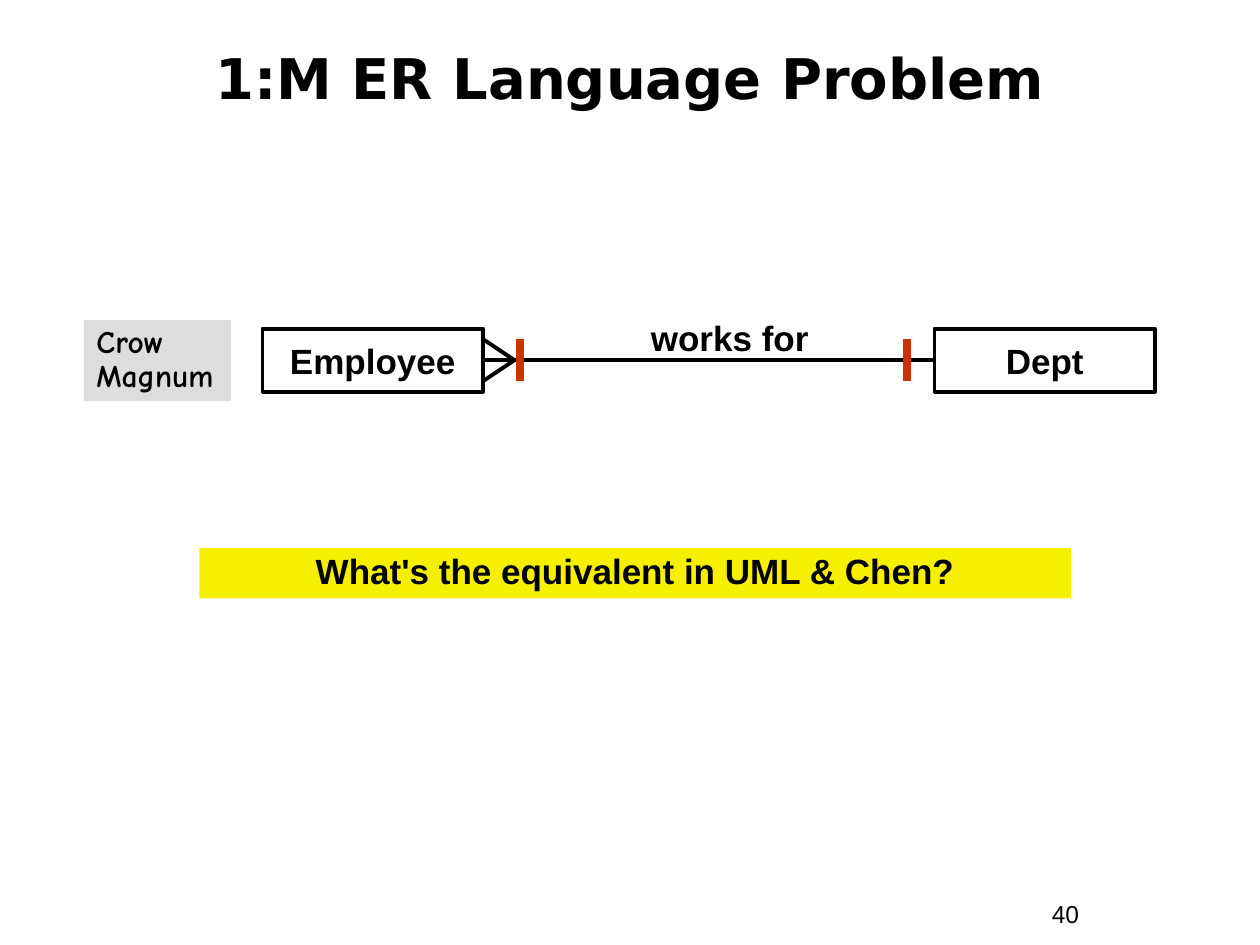
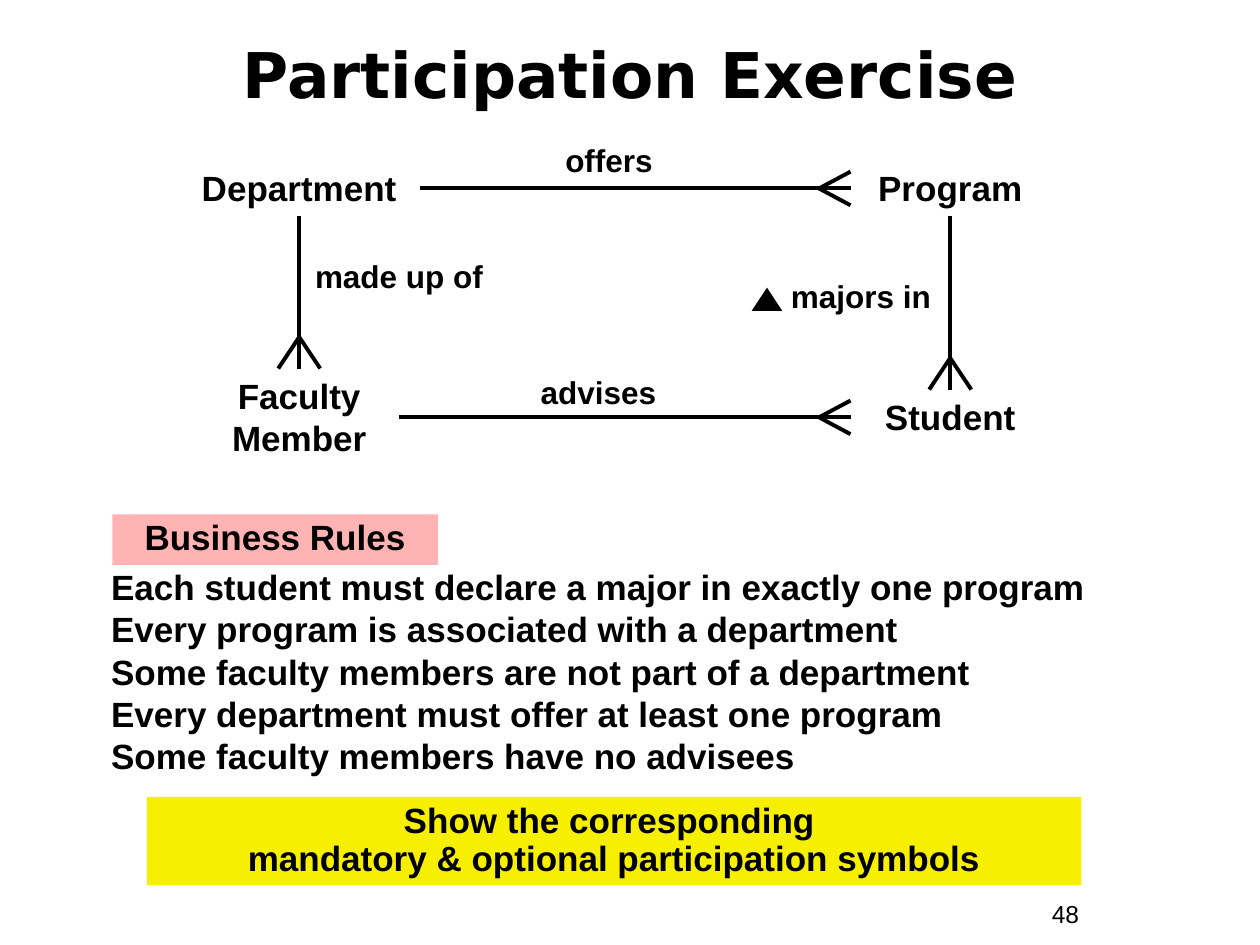
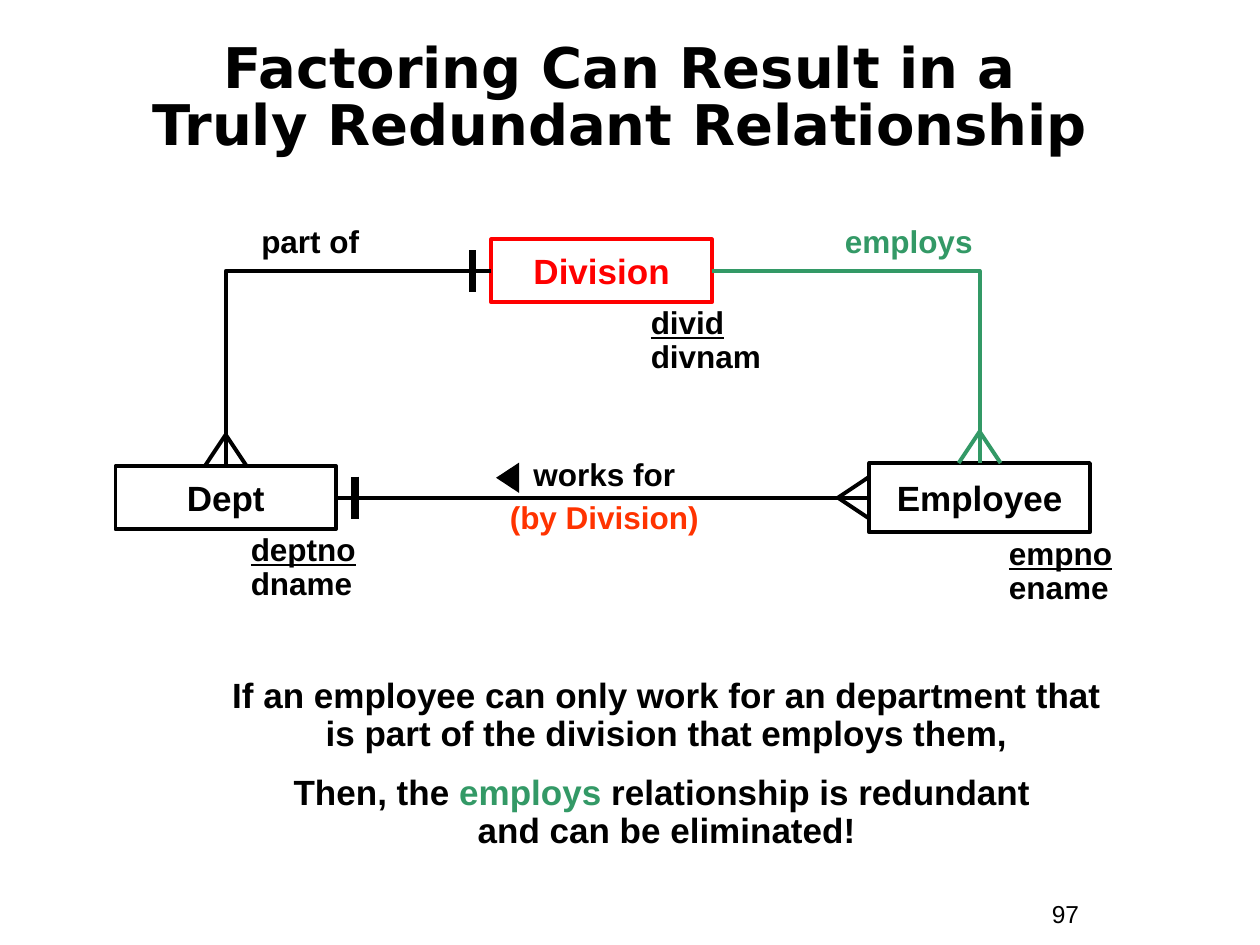
from typing import NamedTuple

from lxml import etree
from pptx import Presentation
from pptx.dml.color import RGBColor
from pptx.enum import shapes, text
from pptx.oxml.ns import qn
from pptx.util import Emu, Inches, Pt

BLACK = RGBColor(0x00, 0x00, 0x00)
GREY = RGBColor(0xDD, 0xDD, 0xDD)
YELLOW = RGBColor(0xF6, 0xF0, 0x00)
PINK = RGBColor(0xFF, 0xB3, 0xB3)
RED = RGBColor(0xFF, 0x00, 0x00)
ORANGE = RGBColor(0xFF, 0x33, 0x00)
RUST = RGBColor(0xCC, 0x33, 0x00)
GREEN = RGBColor(0x33, 0x99, 0x66)

BODY_FONT, TITLE_FONT, NOTE_FONT = "Arial", "DejaVu Sans", "Comic Neue"
LEFT, CENTER = text.PP_ALIGN.LEFT, text.PP_ALIGN.CENTER
TOP, MIDDLE = text.MSO_ANCHOR.TOP, text.MSO_ANCHOR.MIDDLE
UNIT = Inches(10) // 120
AT_TOP, AT_LEFT, AT_BOTTOM, AT_RIGHT = range(4)
OUTWARD = {AT_TOP: (0, -1), AT_LEFT: (-1, 0), AT_BOTTOM: (0, 1), AT_RIGHT: (1, 0)}


class Box(NamedTuple):
    """A box on a grid of 120 columns by 90 rows."""
    x: float
    y: float
    w: float
    h: float

    def inner(self, x, y, w, h):
        """Return a box placed relative to this one."""
        return Box(self.x + x, self.y + y, w, h)

    def emu(self):
        """Return left, top, width and height as lengths."""
        return [Emu(round(v * UNIT)) for v in self]


def write(tf, paras, size=20, color=BLACK, font=BODY_FONT, bold=True,
          align=CENTER, spacing=1.0, before=0, anchor=TOP):
    """Fill a text frame; a paragraph is a string or a list of (text, format) runs."""
    tf.word_wrap = True
    tf.auto_size = text.MSO_AUTO_SIZE.NONE
    tf.vertical_anchor = anchor
    for i, para in enumerate(paras):
        p = tf.add_paragraph() if i else tf.paragraphs[0]
        p.alignment, p.line_spacing = align, spacing
        p.space_before = Pt(before if i else 0)
        for words, style in [(para, {})] if isinstance(para, str) else para:
            for n, piece in enumerate(words.split("\n")):
                if n:
                    p.add_line_break()
                if piece:
                    r = p.add_run()
                    r.text = piece
                    r.font.name, r.font.size, r.font.bold = font, Pt(size), bold
                    r.font.underline = style.get("underline", False)
                    r.font.color.rgb = style.get("color", color)


def label(s, box, *paras, **style):
    """Add a plain text box."""
    sp = s.shapes.add_textbox(*box.emu())
    write(sp.text_frame, paras, **style)
    return sp


def panel(s, box, fill, *paras, **style):
    """Add a filled rectangle with text."""
    sp = s.shapes.add_shape(shapes.MSO_SHAPE.RECTANGLE, *box.emu())
    sp.shadow.inherit = False
    sp.fill.solid()
    sp.fill.fore_color.rgb = fill
    sp.line.fill.background()
    write(sp.text_frame, paras, **{"spacing": 0.9, **style})


def entity(s, box, name, color=BLACK):
    """Add an outlined entity rectangle."""
    sp = s.shapes.add_shape(shapes.MSO_SHAPE.RECTANGLE, *box.emu())
    sp.shadow.inherit = False
    sp.fill.background()
    sp.line.color.rgb, sp.line.width = color, Pt(2.25)
    write(sp.text_frame, [name], color=color, anchor=MIDDLE)
    return sp


def pointer(s, box, rotation=0):
    """Add a small triangle that shows the reading direction."""
    sp = s.shapes.add_shape(shapes.MSO_SHAPE.ISOSCELES_TRIANGLE, *box.emu())
    sp.shadow.inherit = False
    sp.fill.solid()
    sp.fill.fore_color.rgb = BLACK
    sp.line.fill.background()
    sp.rotation = rotation


def line(s, start, end, color=BLACK, width=2.25):
    """Add a straight line between two points."""
    c = s.shapes.add_connector(shapes.MSO_CONNECTOR.STRAIGHT, *map(Emu, (*start, *end)))
    c.line.color.rgb, c.line.width = color, Pt(width)
    etree.SubElement(c._element.spPr, qn("a:effectLst"))
    return c


def anchor_point(sp, side, out=0, along=0):
    """Return a point measured in grid units from the middle of a side."""
    dx, dy = OUTWARD[side]
    x = sp.left + sp.width * (1 + dx) / 2 + (dx * out + dy * along) * UNIT
    y = sp.top + sp.height * (1 + dy) / 2 + (dy * out + dx * along) * UNIT
    return round(x), round(y)


def link(s, a, a_side, b, b_side, color=BLACK, bent=False):
    """Join the sides of two shapes, with one corner when bent."""
    c = line(s, anchor_point(a, a_side), anchor_point(b, b_side), color)
    if bent:
        c._element.spPr.find(qn("a:prstGeom")).set("prst", "bentConnector2")
    c.begin_connect(a, a_side)
    c.end_connect(b, b_side)


def crow_foot(s, sp, side, color=BLACK, spread=2):
    """Draw the two outer toes of a crow's foot on a side."""
    for along in (-spread, spread):
        line(s, anchor_point(sp, side, 3), anchor_point(sp, side, 0, along), color)


def bar(s, sp, side, gap=1.8, color=BLACK):
    """Draw a thick cardinality bar across the link at a side."""
    line(s, anchor_point(sp, side, gap, -2), anchor_point(sp, side, gap, 2), color, 4.5)


def new_slide(prs, title, number, box, size=32, spacing=0.85):
    """Add a slide with its title and page number."""
    s = prs.slides.add_slide(prs.slide_layouts[5])
    sp = s.shapes.title
    sp.left, sp.top, sp.width, sp.height = box.emu()
    write(sp.text_frame, [title], size, font=TITLE_FONT, spacing=spacing, anchor=MIDDLE)
    label(s, Box(99, 85, 11, 4.1), number, size=14, bold=False, align=LEFT)
    return s


def works_for_diagram(s, box):
    """Draw the one-to-many link between Employee and Dept."""
    panel(s, box.inner(0, 0.5, 14, 7.7), GREY, "Crow\nMagnum",
          size=18, font=NOTE_FONT, align=LEFT)
    employee = entity(s, box.inner(17, 1.3, 21, 6), "Employee")
    dept = entity(s, box.inner(81, 1.3, 21, 6), "Dept")
    link(s, employee, AT_RIGHT, dept, AT_LEFT)
    crow_foot(s, employee, AT_RIGHT)
    label(s, box.inner(51.5, 0.2, 20, 4.7), "works for", spacing=0.85)
    bar(s, employee, AT_RIGHT, 3.5, RUST)
    bar(s, dept, AT_LEFT, 2.6, RUST)


def university_diagram(s, box):
    """Draw four entities in a ring of one-to-many links."""
    department = label(s, box.inner(0, 2.5, 23, 5.3), "Department")
    program = label(s, box.inner(64, 2.5, 19, 5.3), "Program")
    faculty = label(s, box.inner(2, 22.3, 19, 9.3), "Faculty\nMember")
    student = label(s, box.inner(64, 24.3, 19, 5.3), "Student")
    for one, one_side, many, many_side, spread in (
            (department, AT_RIGHT, program, AT_LEFT, 1.6),
            (faculty, AT_RIGHT, student, AT_LEFT, 1.6),
            (department, AT_BOTTOM, faculty, AT_TOP, 2),
            (program, AT_BOTTOM, student, AT_TOP, 2)):
        link(s, one, one_side, many, many_side)
        crow_foot(s, many, many_side, spread=spread)
    for verb, x, y in (("offers", 31, 0), ("made up of", 11, 11.1),
                       ("majors in", 55, 13), ("advises", 30, 22.1)):
        label(s, box.inner(x, y, 20, 4.8), verb, size=18)
    pointer(s, box.inner(54.6, 14.6, 2.9, 2.2))


def business_rules(s, box):
    """Add the heading and the list of rules."""
    panel(s, box.inner(1.3, 0, 31, 4.8), PINK, "Business Rules")
    label(s, box.inner(0, 4.9, box.w, box.h - 4.9),
          "Each student must declare a major in exactly one program",
          "Every program is associated with a department",
          "Some faculty members are not part of a department",
          "Every department must offer at least one program",
          "Some faculty members have no advisees",
          align=LEFT, spacing=0.85, before=3.7)


def division_diagram(s, box):
    """Draw Division, Dept and Employee with their three links."""
    employee = entity(s, box.inner(71.8, 23.1, 21, 6.6), "Employee")
    division = entity(s, box.inner(35.8, 1.8, 21, 6), "Division", RED)
    dept = entity(s, box.inner(0, 23.4, 21, 6), "Dept")
    link(s, division, AT_RIGHT, employee, AT_TOP, GREEN, bent=True)
    link(s, division, AT_LEFT, dept, AT_TOP, bent=True)
    link(s, dept, AT_RIGHT, employee, AT_LEFT)
    crow_foot(s, employee, AT_TOP, GREEN)
    crow_foot(s, employee, AT_LEFT)
    crow_foot(s, dept, AT_TOP)
    bar(s, division, AT_LEFT)
    bar(s, dept, AT_RIGHT)
    for verb, x, color in (("part of", 7.4, BLACK), ("employs", 64.4, GREEN)):
        label(s, box.inner(x, 0.1, 22.3, 4.3), verb, size=18, color=color, spacing=0.85)
    for key, field, x, y in (("divid", "divnam", 49.8, 7.7),
                             ("deptno", "dname", 11.7, 29.3),
                             ("empno", "ename", 83.9, 29.7)):
        label(s, box.inner(x, y, 14.3, 7.7), [(key, {"underline": True})], field,
              size=18, align=LEFT, spacing=0.9)
    pointer(s, box.inner(35.9, 23.4, 2.9, 2.2), 270)
    label(s, box.inner(33.3, 21.2, 26.5, 9.5),
          [("works for\n", {}), ("(by Division)", {"color": ORANGE})],
          size=18, spacing=1.15)


def main():
    """Build the three slides and save them."""
    prs = Presentation()
    prs.slide_width, prs.slide_height = Inches(10), Inches(7.5)

    s = new_slide(prs, "1:M ER Language Problem", "40", Box(4, 2.3, 112, 11))
    works_for_diagram(s, Box(8, 30, 102, 9))
    panel(s, Box(19, 52.2, 83, 4.8), YELLOW, "What's the equivalent in UML & Chen?")

    s = new_slide(prs, "Participation Exercise", "48", Box(4, 2, 112, 10), 36, 1.0)
    university_diagram(s, Box(17, 12.8, 83, 32))
    business_rules(s, Box(9.4, 49, 107, 25.7))
    panel(s, Box(14, 75.9, 89, 8.4), YELLOW,
          "Show the corresponding \nmandatory & optional participation symbols")

    s = new_slide(prs, "Factoring Can Result in a \nTruly Redundant Relationship ",
                  "97", Box(4, 4, 112, 11))
    division_diagram(s, Box(11, 21, 98, 38))
    label(s, Box(20, 64, 87, 17.8),
          "If an employee can only work for an department that "
          "is part of the division that employs them,",
          [("Then, the ", {}), ("employs", {"color": GREEN}),
           (" relationship is redundant \nand can be eliminated!", {})],
          spacing=0.9, before=12.5)

    prs.save("out.pptx")


if __name__ == "__main__":
    main()
